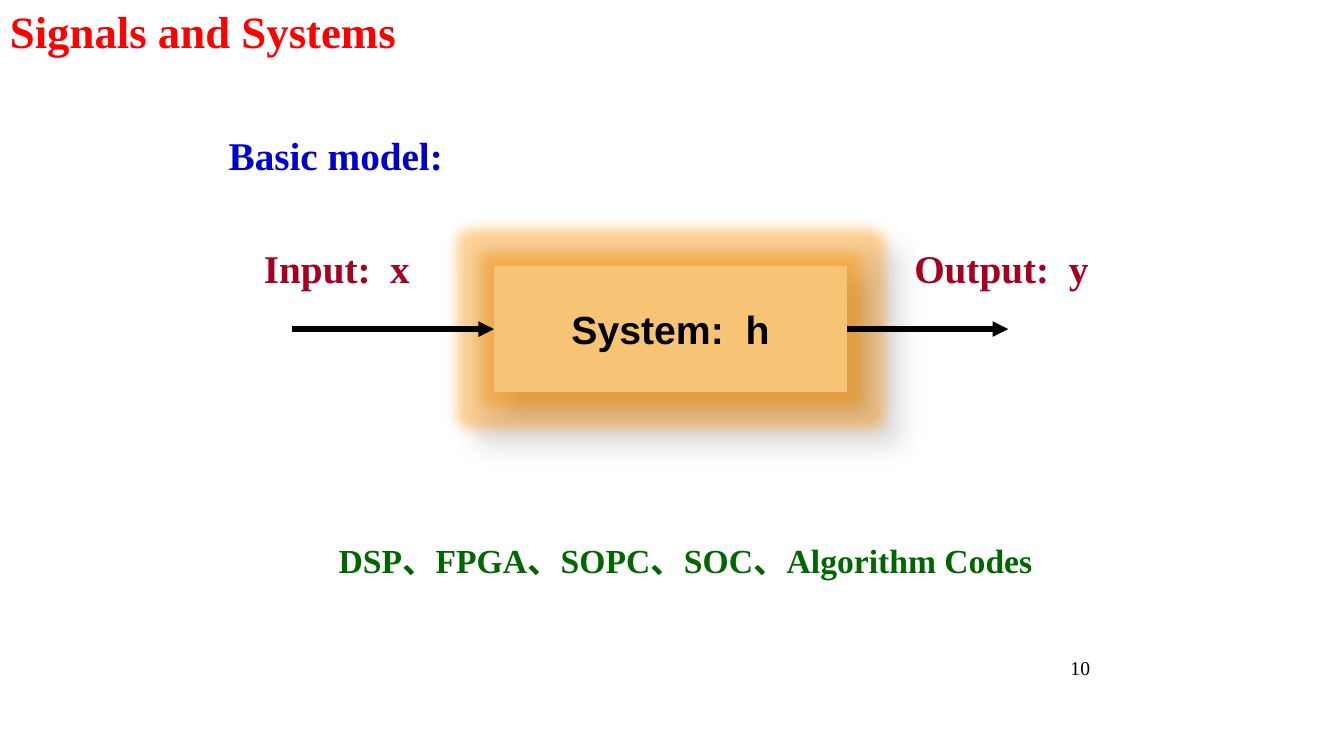
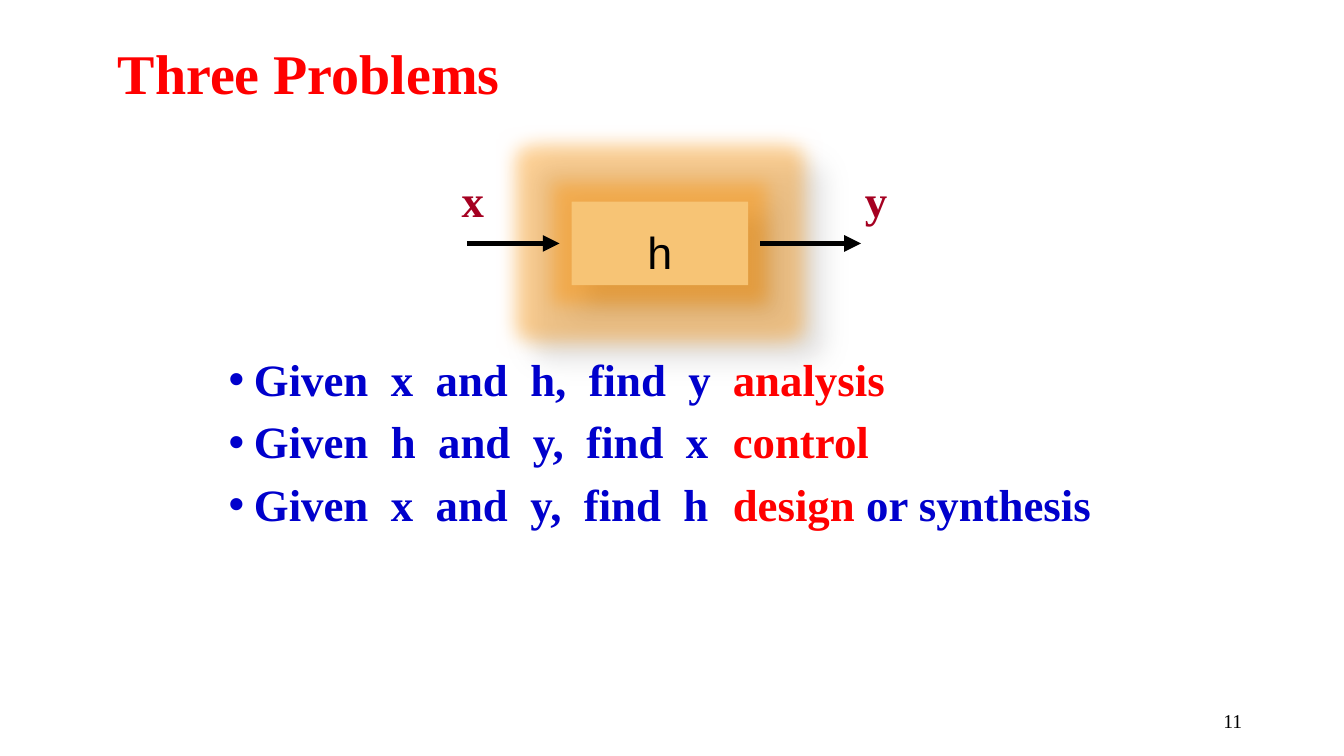
from lxml import etree
from pptx import Presentation
from pptx.dml.color import RGBColor
from pptx.enum.shapes import MSO_CONNECTOR, MSO_SHAPE
from pptx.enum.text import MSO_ANCHOR, PP_ALIGN
from pptx.oxml import parse_xml
from pptx.oxml.ns import qn
from pptx.util import Inches, Pt

RED = RGBColor(0xFF, 0x00, 0x00)
BLUE = RGBColor(0x00, 0x00, 0xCC)
CRIMSON = RGBColor(0xA5, 0x00, 0x21)
GREEN = RGBColor(0x00, 0x66, 0x00)
BLACK = RGBColor(0x00, 0x00, 0x00)
AMBER = RGBColor(0xF7, 0xC4, 0x75)
GLOW = RGBColor(0xFF, 0x91, 0x00)

SERIF = "Times New Roman"
SANS = "Arial"
RECTANGLE = MSO_SHAPE.RECTANGLE
STRAIGHT = MSO_CONNECTOR.STRAIGHT
TOP = MSO_ANCHOR.TOP
MIDDLE = MSO_ANCHOR.MIDDLE
LEFT = PP_ALIGN.LEFT
RIGHT = PP_ALIGN.RIGHT
CENTER = PP_ALIGN.CENTER
LEFT_SIDE, RIGHT_SIDE = 1, 3
DRAWING = "http://schemas.openxmlformats.org/drawingml/2006/main"


def style_run(run, size, color, bold=True, font=SERIF):
    run.font.name = font
    run.font.size = Pt(size)
    run.font.bold = bold
    run.font.color.rgb = color


def add_text(slide, box, text, size, color, bold=True, align=LEFT, anchor=MIDDLE):
    shape = slide.shapes.add_textbox(*map(Inches, box))
    frame = shape.text_frame
    frame.word_wrap = True
    frame.vertical_anchor = anchor
    frame.text = text
    paragraph = frame.paragraphs[0]
    paragraph.alignment = align
    style_run(paragraph.runs[0], size, color, bold)


def add_title(slide, box, text, size):
    add_text(slide, box, text, size, RED)


def add_page_number(slide, box, number):
    add_text(slide, box, str(number), 14, BLACK, bold=False, align=RIGHT)


def add_glow_and_shadow(shape, glow_radius):
    shape.shadow.inherit = False
    effects = shape._element.spPr.find(qn("a:effectLst"))
    effects.append(parse_xml(
        f'<a:glow xmlns:a="{DRAWING}" rad="{Pt(glow_radius)}">'
        f'<a:srgbClr val="{GLOW}"><a:alpha val="40000"/></a:srgbClr></a:glow>'))
    effects.append(parse_xml(
        f'<a:outerShdw xmlns:a="{DRAWING}" blurRad="{Pt(15)}" dist="{Pt(18)}" '
        f'dir="2700000" algn="tl" rotWithShape="0">'
        f'<a:srgbClr val="{BLACK}"><a:alpha val="30000"/></a:srgbClr></a:outerShdw>'))


def add_arrow(slide, start, end, y, width):
    arrow = slide.shapes.add_connector(
        STRAIGHT, Inches(start), Inches(y), Inches(end), Inches(y))
    arrow.line.color.rgb = BLACK
    arrow.line.width = Pt(width)
    etree.SubElement(arrow.line._get_or_add_ln(), qn("a:tailEnd"), type="triangle")
    etree.SubElement(arrow._element.spPr, qn("a:effectLst"))
    return arrow


def add_system(slide, box, text, size, bold, glow_radius, arrow_lengths,
               arrow_width, gap=0, text_drop=0):
    left, top, width, height = box
    system = slide.shapes.add_shape(RECTANGLE, *map(Inches, box))
    system.fill.solid()
    system.fill.fore_color.rgb = AMBER
    system.line.fill.background()
    add_glow_and_shadow(system, glow_radius)
    frame = system.text_frame
    frame.word_wrap = False
    frame.vertical_anchor = MIDDLE
    frame.margin_top = Inches(text_drop)
    frame.margin_bottom = 0
    frame.text = text
    paragraph = frame.paragraphs[0]
    paragraph.alignment = CENTER
    style_run(paragraph.runs[0], size, BLACK, bold, SANS)

    input_length, output_length = arrow_lengths
    center = top + height / 2
    input_end = left - gap
    output_start = left + width + gap
    input_arrow = add_arrow(
        slide, input_end - input_length, input_end, center, arrow_width)
    output_arrow = add_arrow(
        slide, output_start, output_start + output_length, center, arrow_width)
    if not gap:
        input_arrow.end_connect(system, LEFT_SIDE)
        output_arrow.begin_connect(system, RIGHT_SIDE)


def add_bullets(slide, box, items, size):
    frame = slide.shapes.add_textbox(*map(Inches, box)).text_frame
    frame.word_wrap = True
    for index, parts in enumerate(items):
        paragraph = frame.add_paragraph() if index else frame.paragraphs[0]
        paragraph.line_spacing = 0.9
        paragraph.space_before = Pt(10)
        for text, color in parts:
            run = paragraph.add_run()
            run.text = text
            style_run(run, size, color)
        properties = paragraph._p.get_or_add_pPr()
        properties.set("marL", str(Inches(0.25)))
        properties.set("indent", str(Inches(-0.25)))
        etree.SubElement(properties, qn("a:buFont"), typeface=SANS)
        etree.SubElement(properties, qn("a:buChar"), char="•")


def build_signals_slide(slide):
    add_title(slide, (0, -0.02, 8.5, 0.64), "Signals and Systems", 32)
    add_text(slide, (2.17, 1.28, 4, 0.52), "Basic model:", 28, BLUE)
    add_system(slide, (4.9, 2.64, 3.5, 1.25), "System:  h", 28, True,
               glow_radius=18, arrow_lengths=(2, 1.6), arrow_width=3.75)
    for left, label in ((2.52, "Input:  x"), (8.97, "Output:  y")):
        add_text(slide, (left, 2.4, 2.2, 0.52), label, 28, CRIMSON)
    add_text(slide, (3.26, 5.31, 7.16, 0.9),
             "DSP、FPGA、SOPC、SOC、Algorithm Codes", 24, GREEN, anchor=TOP)
    add_page_number(slide, (8.83, 6.37, 2.08, 0.5), 10)


def build_problems_slide(slide):
    add_title(slide, (1.07, 0.33, 5, 0.77), "Three Problems", 40)
    add_system(slide, (5.67, 2, 1.75, 0.83), "h", 32, False,
               glow_radius=27, arrow_lengths=(0.92, 1), arrow_width=4,
               gap=0.12, text_drop=0.17)
    for left, label in ((4.48, "x"), (8.48, "y")):
        add_text(slide, (left, 1.68, 0.5, 0.6), label, 32, CRIMSON)
    add_bullets(slide, (2.17, 3.5, 9, 3.67), (
        (("Given  x  and  h,  find  y\t", BLUE), ("analysis", RED)),
        (("Given  h  and  y,  find  x\t", BLUE), ("control", RED)),
        (("Given  x  and  y,  find  h\t", BLUE), ("design ", RED),
         ("or synthesis", BLUE)),
    ), 32)
    add_page_number(slide, (9.42, 6.95, 3, 0.4), 11)


def main():
    presentation = Presentation()
    presentation.slide_width = Inches(13.33)
    presentation.slide_height = Inches(7.5)
    blank = presentation.slide_layouts[6]
    for build in (build_signals_slide, build_problems_slide):
        build(presentation.slides.add_slide(blank))
    presentation.save("out.pptx")


if __name__ == "__main__":
    main()
